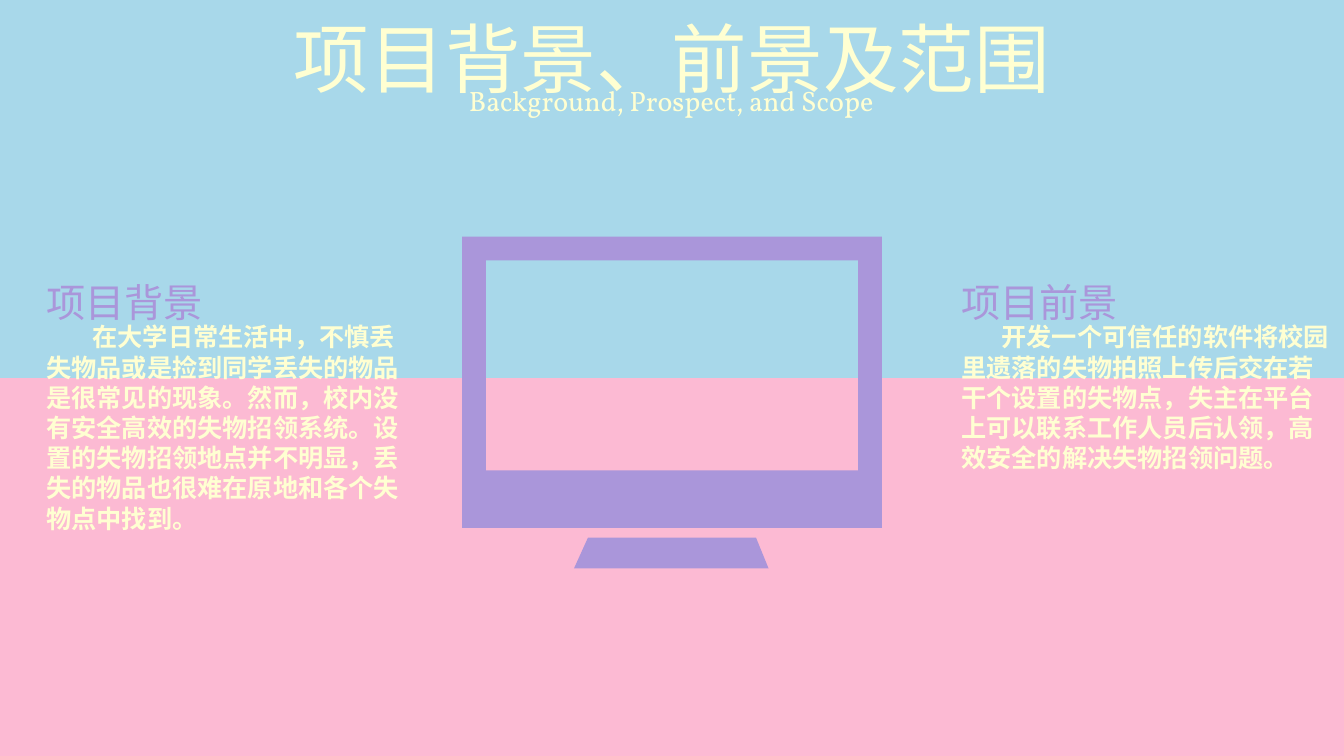
import pptx
import pptx.util
import pptx.dml.color
import pptx.enum.text
import lxml.etree
from pptx.oxml.ns import qn

Pt = pptx.util.Pt
CREAM, PURPLE, PINK, SKY = "FFFFD2", "AA96DA", "FCBAD3", "A8D8EA"
HEADING_FONT, BODY_FONT = "Noto Sans CJK JP", "Noto Sans CJK SC"


def paint(fill, color):
    fill.solid()
    fill.fore_color.rgb = pptx.dml.color.RGBColor.from_string(color)


def write(box, text, size, font, color, centered=False, bold=False, indent=0):
    frame = box.text_frame
    frame.word_wrap = True
    frame.auto_size = pptx.enum.text.MSO_AUTO_SIZE.NONE
    frame.vertical_anchor = pptx.enum.text.MSO_ANCHOR.TOP
    frame.margin_left = frame.margin_right = Pt(7.2)
    frame.margin_top = frame.margin_bottom = Pt(3.6)
    paragraph = frame.paragraphs[0]
    paragraph.text = text
    align = pptx.enum.text.PP_ALIGN
    paragraph.alignment = align.CENTER if centered else align.LEFT
    paragraph.font.size = Pt(size)
    paragraph.font.bold = bold
    paragraph.font.name = font
    paint(paragraph.font.fill, color)
    properties = paragraph.font._element
    lxml.etree.SubElement(properties, qn("a:ea")).set("typeface", font)
    if "CJK" in font:
        # Tight lines, with the first one lowered to match
        paragraph.line_spacing = Pt(size * 1.2)
        frame.margin_top = Pt(3.6 + size * 0.09)
    if indent:
        paragraph._p.get_or_add_pPr().set("indent", str(Pt(indent)))


deck = pptx.Presentation()
deck.slide_width, deck.slide_height = Pt(960), Pt(540)
slide = deck.slides.add_slide(deck.slide_layouts[5])
shapes = slide.shapes

# Two-tone backdrop
paint(slide.background.fill, SKY)
lower_half = shapes.add_shape(pptx.enum.shapes.MSO_SHAPE.RECTANGLE, 0, Pt(270), Pt(960), Pt(270))
lower_half.shadow.inherit = False
paint(lower_half.fill, PINK)
lower_half.line.fill.background()

# Title and subtitle
title = shapes.title
title.left, title.top, title.width, title.height = Pt(183.5), Pt(0), Pt(593), Pt(138)
write(title, "项目背景、前景及范围", 54, HEADING_FONT, CREAM, centered=True)
subtitle = shapes.add_textbox(Pt(321), Pt(56), Pt(317), Pt(32))
write(subtitle, "Background, Prospect, and Scope", 20, "Vollkorn", CREAM, centered=True)

# Monitor: case, screen opening and stand
case = [(329.5, 169), (630, 169), (630, 377), (329.5, 377)]
screen = [(347, 186), (347, 336), (613, 336), (613, 186)]
stand = [(420, 383.5), (539.5, 383.5), (549, 406.5), (410.5, 406.5)]
outline = shapes.build_freeform(*case[0], scale=Pt(1))
outline.add_line_segments(case[1:], close=True)
for corners in (screen, stand):
    outline.move_to(*corners[0])
    outline.add_line_segments(corners[1:], close=True)
monitor = outline.convert_to_shape()
monitor.shadow.inherit = False
paint(monitor.fill, PURPLE)
monitor.line.fill.background()

# Side columns: left, body width, body height, first-line indent, heading, body
columns = [
    (26, 272, 160, 33, "项目背景",
     "在大学日常生活中，不慎丢失物品或是捡到同学丢失的物品是很常见的现象。"
     "然而，校内没有安全高效的失物招领系统。设置的失物招领地点并不明显，"
     "丢失的物品也很难在原地和各个失物点中找到。"),
    (679.5, 278, 116, 28.8, "项目前景",
     "开发一个可信任的软件将校园里遗落的失物拍照上传后交在若干个设置的失物点，"
     "失主在平台上可以联系工作人员后认领，高效安全的解决失物招领问题。"),
]
for left, width, height, indent, heading, body in columns:
    heading_box = shapes.add_textbox(Pt(left), Pt(193), Pt(200), Pt(41))
    write(heading_box, heading, 28, HEADING_FONT, PURPLE)
    body_box = shapes.add_textbox(Pt(left), Pt(224.5), Pt(width), Pt(height))
    write(body_box, body, 18, BODY_FONT, CREAM, bold=True, indent=indent)

deck.save("out.pptx")
